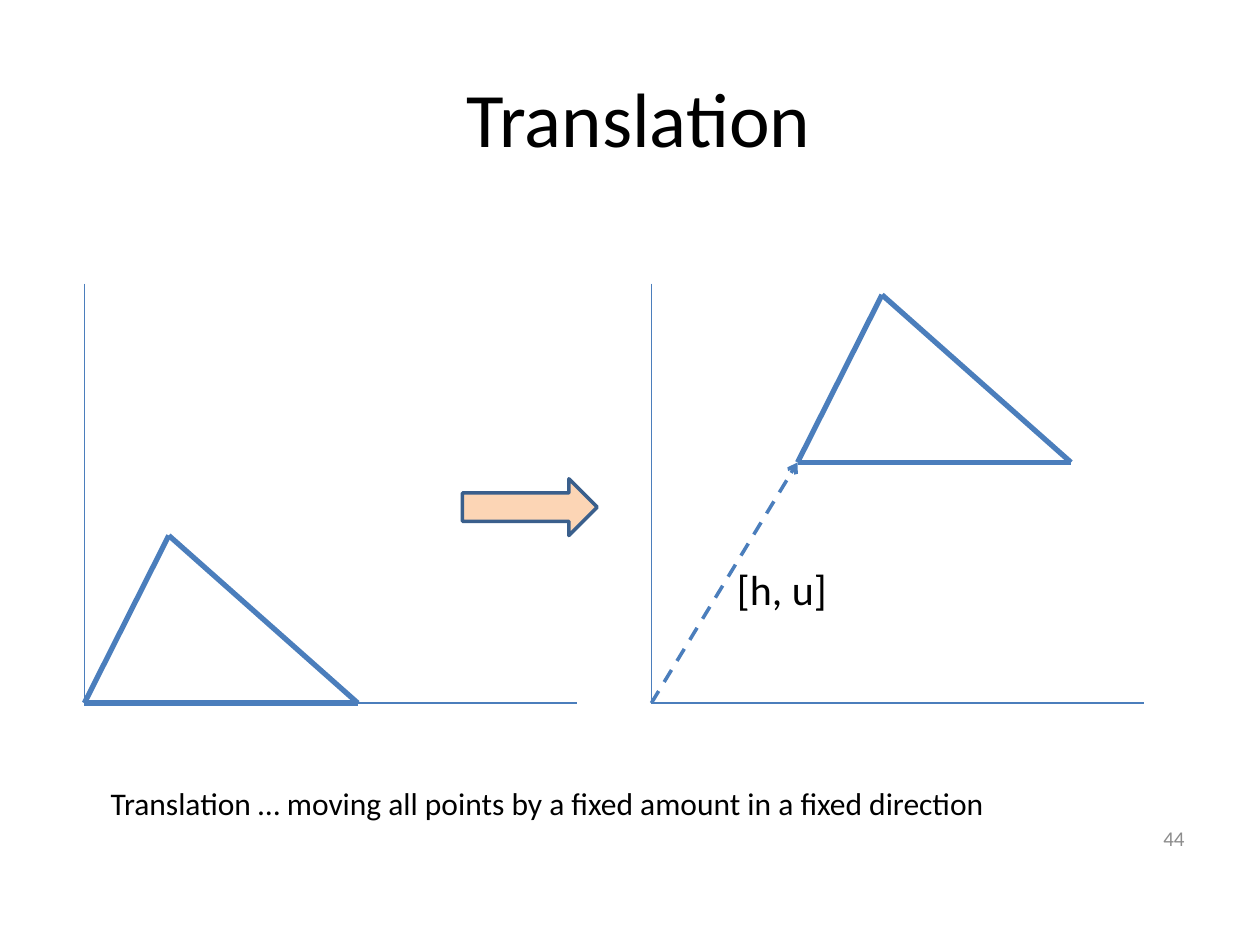
"""Build a slide that shows translation of a triangle by a fixed vector."""
from dataclasses import dataclass
from itertools import combinations
from typing import Optional

from lxml.etree import SubElement
from pptx import Presentation
from pptx.dml.color import RGBColor
from pptx.enum.dml import MSO_LINE
from pptx.enum.shapes import MSO_CONNECTOR, MSO_SHAPE
from pptx.enum.text import MSO_ANCHOR, PP_ALIGN
from pptx.oxml.ns import qn
from pptx.util import Inches, Pt

BLACK = RGBColor(0x00, 0x00, 0x00)
GRAY = RGBColor(0x8C, 0x8C, 0x8C)
BLUE = RGBColor(0x4B, 0x7E, 0xBC)
DARK_BLUE = RGBColor(0x3A, 0x5F, 0x8C)
PEACH = RGBColor(0xFC, 0xD5, 0xB5)

FONT = "Calibri"
AXIS_W, AXIS_H = 3.91, 3.33
TRIANGLE = ((0, 0), (0.67, -1.33), (2.17, 0))


@dataclass(frozen=True)
class Plot:
    x: float
    y: float
    dx: float = 0
    dy: float = 0


@dataclass(frozen=True)
class Label:
    text: str
    left: float
    top: float
    width: float
    height: float
    size: int
    color: RGBColor = BLACK
    align: PP_ALIGN = PP_ALIGN.LEFT
    anchor: MSO_ANCHOR = MSO_ANCHOR.TOP
    wrap: bool = True


PLOTS = (Plot(0.67, 5.58), Plot(5.17, 5.58, 1.16, -1.91))
TITLE = Label(" Translation", 0.5, 0.3, 9, 1.25, 44,
              align=PP_ALIGN.CENTER, anchor=MSO_ANCHOR.MIDDLE)
LABELS = (
    Label("44", 7.17, 6.45, 2.33, 0.4, 12, GRAY, PP_ALIGN.RIGHT, MSO_ANCHOR.MIDDLE),
    Label("[h, u]", 5.75, 4.42, 0.92, 0.5, 24, wrap=False),
    Label("Translation … moving all points by a fixed amount in a fixed direction",
          0.78, 6.17, 8.3, 0.4, 18),
)


def set_attrs(obj, values: dict) -> None:
    for name, value in values.items():
        setattr(obj, name, value)


def write(sp, label: Label) -> None:
    tf = sp.text_frame
    set_attrs(tf, {"word_wrap": label.wrap, "vertical_anchor": label.anchor})
    p = tf.paragraphs[0]
    p.alignment = label.align
    r = p.add_run()
    r.text = label.text
    set_attrs(r.font, {"name": FONT, "size": Pt(label.size)})
    r.font.color.rgb = label.color


def add_label(s, label: Label) -> None:
    box = (label.left, label.top, label.width, label.height)
    write(s.shapes.add_textbox(*map(Inches, box)), label)


def add_line(s, start: tuple, end: tuple, width: float,
             dash: Optional[MSO_LINE] = None, head: Optional[str] = None) -> None:
    line = s.shapes.add_connector(MSO_CONNECTOR.STRAIGHT, *map(Inches, start + end))
    line.line.color.rgb = BLUE
    set_attrs(line.line, {"width": Pt(width), "dash_style": dash})
    if head:
        SubElement(line.line._get_or_add_ln(), qn("a:tailEnd"), type=head)
    SubElement(line._element.spPr, qn("a:effectLst"))


def add_plot(s, plot: Plot) -> None:
    origin = (plot.x, plot.y)
    add_line(s, (plot.x, plot.y - AXIS_H), origin, 0.75)
    add_line(s, origin, (plot.x + AXIS_W, plot.y), 0.75)
    corners = [(plot.x + plot.dx + x, plot.y + plot.dy + y) for x, y in TRIANGLE]
    for start, end in combinations(corners, 2):
        add_line(s, start, end, 3)
    if plot.dx or plot.dy:
        add_line(s, origin, corners[0], 2, MSO_LINE.DASH, "arrow")


def add_block_arrow(s) -> None:
    sp = s.shapes.add_shape(MSO_SHAPE.RIGHT_ARROW, *map(Inches, (3.67, 3.8, 1.07, 0.45)))
    sp.shadow.inherit = False
    sp.fill.solid()
    sp.fill.fore_color.rgb = PEACH
    sp.line.color.rgb = DARK_BLUE
    sp.line.width = Pt(2)


def main() -> None:
    prs = Presentation()
    set_attrs(prs, {"slide_width": Inches(10), "slide_height": Inches(7.5)})
    s = prs.slides.add_slide(prs.slide_layouts[5])
    title = s.shapes.title
    set_attrs(title, {name: Inches(getattr(TITLE, name))
                      for name in ("left", "top", "width", "height")})
    write(title, TITLE)
    for plot in PLOTS:
        add_plot(s, plot)
    add_block_arrow(s)
    for label in LABELS:
        add_label(s, label)
    prs.save("out.pptx")


if __name__ == "__main__":
    main()
